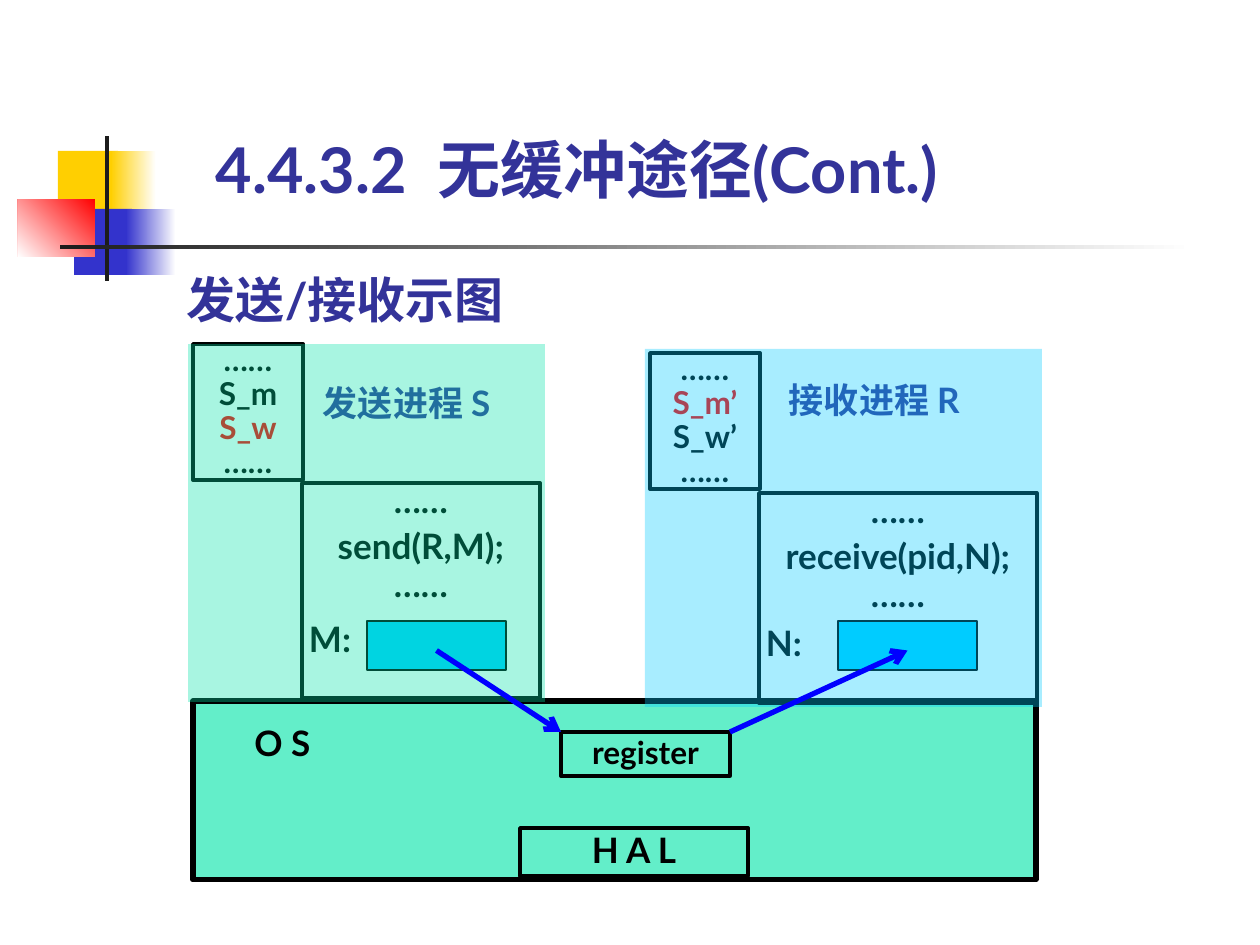
from lxml import etree
from pptx import Presentation
from pptx import util as u
from pptx.dml.color import RGBColor
from pptx.enum import shapes, text
from pptx.oxml.ns import qn

EMU_PER_PX = 914400 / 126
FONT = "Lato"
COLORS = {
    "navy": "333399", "black": "000000", "red": "FF0000", "white": "FFFFFF",
    "yellow": "FFCF01", "indigo": "3333CC", "ink": "1C1C1C",
    "green": "00E4A8", "cyan": "00CCFF", "arrow": "0000FF",
}
CENTER, LEFT = text.PP_ALIGN.CENTER, text.PP_ALIGN.LEFT
TOP, BOTTOM = text.MSO_ANCHOR.TOP, text.MSO_ANCHOR.BOTTOM


def px(n):
    """Turn px into EMU."""
    return u.Emu(round(n * EMU_PER_PX))


def rgb(name):
    """Return a named colour."""
    return RGBColor.from_string(COLORS[name])


def add_rect(slide, box, fill=None, line=None, alpha=None):
    """Add a rectangle with an optional fill, outline width and opacity."""
    s = slide.shapes.add_shape(shapes.MSO_SHAPE.RECTANGLE, *map(px, box))
    s.shadow.inherit = False
    if fill:
        s.fill.solid()
        s.fill.fore_color.rgb = rgb(fill)
    else:
        s.fill.background()
    if alpha:
        color = s._element.spPr.find(".//" + qn("a:srgbClr"))
        etree.SubElement(color, qn("a:alpha")).set("val", str(alpha * 1000))
    if line:
        s.line.color.rgb = rgb("black")
        s.line.width = u.Pt(line)
    else:
        s.line.fill.background()
    return s


def add_gradient(slide, box, start, end, angle):
    """Add a rectangle filled with a two-colour gradient."""
    s = add_rect(slide, box)
    s.fill.gradient()
    s.fill.gradient_angle = angle
    for stop, name in zip(s.fill.gradient_stops, (start, end)):
        stop.color.rgb = rgb(name)


def write(s, lines, size, color="black", align=CENTER, spacing=0.9, inset=(0, 0), anchor=TOP):
    """Write lines given as text or as (text, options) into a shape."""
    tf = s.text_frame
    tf.word_wrap = True
    tf.vertical_anchor = anchor
    tf.margin_left = tf.margin_right = px(inset[0])
    tf.margin_top = tf.margin_bottom = px(inset[1])
    for i, line in enumerate(lines):
        words, opts = (line, {}) if isinstance(line, str) else line
        p = tf.paragraphs[0] if i == 0 else tf.add_paragraph()
        p.alignment = opts.get("align", align)
        p.line_spacing = spacing
        p.space_before = u.Pt(opts.get("before", 0))
        if "indent" in opts:
            p._p.get_or_add_pPr().set("marL", str(px(opts["indent"])))
        r = p.add_run()
        r.text = words
        r.font.name = FONT
        r.font.size = u.Pt(size)
        r.font.bold = True
        r.font.color.rgb = rgb(opts.get("color", color))


def add_label(slide, box, words, size, **style):
    """Add a one-line text box."""
    write(slide.shapes.add_textbox(*map(px, box)), [words], size, **style)


def add_arrow(slide, start, end):
    """Add a straight line with an arrowhead at its end."""
    c = slide.shapes.add_connector(shapes.MSO_CONNECTOR.STRAIGHT, *map(px, start + end))
    c.line.color.rgb = rgb("arrow")
    c.line.width = u.Pt(3)
    etree.SubElement(c.line._get_or_add_ln(), qn("a:tailEnd")).set("type", "arrow")
    etree.SubElement(c._element.spPr, qn("a:effectLst"))


def add_header(slide, x, y):
    """Draw the ornament, title and subtitle from the given corner."""
    for dx, dy, w, fade_dx, fade_w, name in (
        (40, 15, 60, 93, 45, "yellow"),
        (56, 73, 58, 108, 50, "indigo"),
    ):
        add_rect(slide, (x + dx, y + dy, w, 66), name)
        add_gradient(slide, (x + fade_dx, y + dy, fade_w, 66), "white", name, 180)
    add_gradient(slide, (x, y + 63, 77, 58), "red", "white", 225)
    add_rect(slide, (x + 87, y, 4, 145), "ink")
    add_gradient(slide, (x + 42, y + 109, 1134, 4), "white", "ink", 180)
    style = dict(color="navy", align=LEFT, spacing=1.0, inset=(13, 6), anchor=BOTTOM)
    add_label(slide, (x + 185, y - 11, 814, 87), "4.4.3.2  无缓冲途径(Cont.)", 36, **style)
    add_label(slide, (x + 156, y + 130, 377, 68), "发送/接收示图", 28, **style)


def add_process(slide, box, name, state, code, fill, table_y, frame_y, label_at, buffer_at):
    """Draw one process inside its box and return the centre of its buffer."""
    x, y, w, h = box
    call, variable, gap = code
    write(add_rect(slide, (x + 5, y + table_y, 110, 136), line=2),
          ["……", *state, "……"], 18)
    write(add_rect(slide, (x + 114, y + frame_y, w - 119, h - frame_y - 4), line=2),
          ["……", (call, {"before": 5}), "……",
           (variable, {"before": gap, "align": LEFT, "indent": 7})], 20)
    bx, by, bw, bh = x + buffer_at[0], y + buffer_at[1], 139, 49
    add_rect(slide, (bx, by, bw, bh), "cyan", 1.5)
    add_label(slide, (x + label_at[0], y + label_at[1], 189, 38), name, 20,
              color="navy", align=LEFT)
    add_rect(slide, box, fill, alpha=34)
    return bx + bw / 2, by + bh / 2 + 5


def add_system(slide, box):
    """Draw the operating system and return the top corners of its register."""
    x, y, w, h = box
    add_rect(slide, box, "green", 3, alpha=61)
    rx, ry, rw = x + 368, y + 31, 169
    write(add_rect(slide, (rx, ry, rw, 44), line=2), ["register"], 18, inset=(0, 5))
    write(add_rect(slide, (x + 327, y + 127, 228, 48), line=2), ["H A L"], 20, inset=(0, 5))
    add_label(slide, (x + 20, y + 20, 139, 48), "O S", 20, inset=(0, 5))
    return (rx, ry), (rx + rw, ry)


def main():
    """Build the slide and save it."""
    prs = Presentation()
    prs.slide_width, prs.slide_height = px(1260), px(945)
    slide = prs.slides.add_slide(prs.slide_layouts[6])
    add_header(slide, 18, 136)
    register_in, register_out = add_system(slide, (193, 701, 843, 179))
    sent = add_process(
        slide, (188, 344, 357, 358), "发送进程 S", ["S_m", ("S_w", {"color": "red"})],
        ("send(R,M);", "M:", 10), "green", 0, 139, (135, 42), (179, 277))
    received = add_process(
        slide, (645, 349, 397, 358), "接收进程 R", [("S_m’", {"color": "red"}), "S_w’"],
        ("receive(pid,N);", "N:", 6.2), "cyan", 4, 144, (144, 34), (193, 272))
    add_arrow(slide, sent, register_in)
    add_arrow(slide, register_out, received)
    prs.save("out.pptx")


if __name__ == "__main__":
    main()
